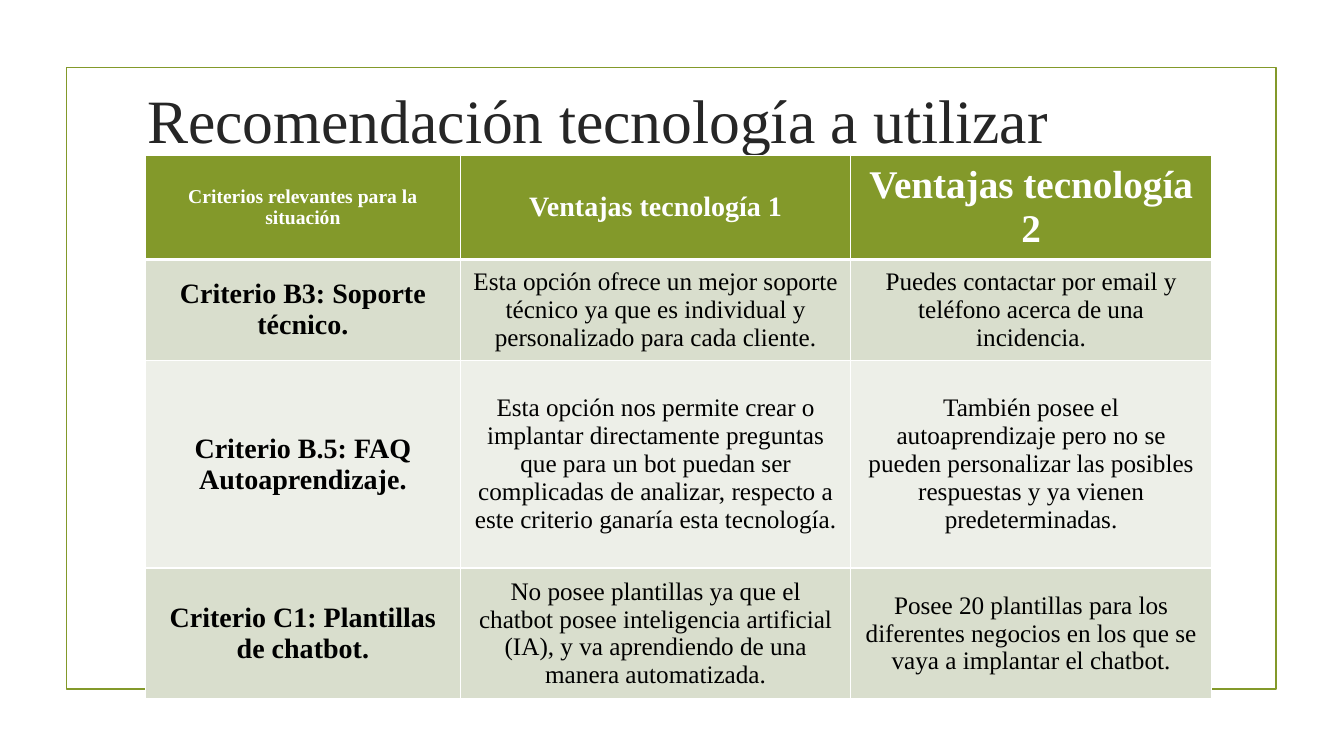
"""Build the slide that compares the advantages of two chatbot technologies."""
from lxml.etree import SubElement
from pptx import Presentation
from pptx.dml.color import RGBColor
from pptx.enum.shapes import MSO_SHAPE
from pptx.enum.text import MSO_ANCHOR as Anchor, PP_ALIGN as Align
from pptx.oxml.ns import qn
from pptx.util import Pt

GREEN, WHITE, BLACK = "83992A", "FFFFFF", "000000"
BAND_FILLS = [GREEN, "D9DECD", "EDEFE8", "D9DECD"]
HEADER_SIZES = [14, 20, 28]
BODY_SIZES = [20, 18, 18]
COLUMN_WIDTHS = [225.4, 278.6, 257.8]
ROW_HEIGHTS = [72.7, 69.8, 148.3, 90]
ROWS = [
    ["Criterios relevantes para la situación",
     "Ventajas tecnología 1",
     "Ventajas tecnología 2"],
    ["Criterio B3: Soporte técnico.",
     "Esta opción ofrece un mejor soporte técnico ya que es individual y personalizado para cada cliente.",
     "Puedes contactar por email y teléfono acerca de una incidencia."],
    ["Criterio B.5: FAQ Autoaprendizaje.",
     "Esta opción nos permite crear o implantar directamente preguntas que para un bot puedan ser "
     "complicadas de analizar, respecto a este criterio ganaría esta tecnología.",
     "También posee el autoaprendizaje pero no se pueden personalizar las posibles respuestas "
     "y ya vienen predeterminadas."],
    ["Criterio C1: Plantillas de chatbot.",
     "No posee plantillas ya que el chatbot posee inteligencia artificial (IA), y va aprendiendo "
     "de una manera automatizada.",
     "Posee 20 plantillas para los diferentes negocios en los que se vaya a implantar el chatbot."],
]


def color(value):
    return RGBColor.from_string(value)


def format_runs(paragraph, size, value, bold=False):
    for run in paragraph.runs:
        run.font.name = "Times New Roman"
        run.font.size = Pt(size)
        run.font.bold = bold
        run.font.color.rgb = color(value)


presentation = Presentation()
presentation.slide_width, presentation.slide_height = Pt(960), Pt(540)
slide = presentation.slides.add_slide(presentation.slide_layouts[6])

frame = slide.shapes.add_shape(MSO_SHAPE.RECTANGLE, Pt(47.5), Pt(48.2), Pt(864), Pt(444.2))
frame.shadow.inherit = False
frame.fill.background()
frame.line.color.rgb = color(GREEN)
frame.line.width = Pt(1.25)

title = slide.shapes.add_textbox(Pt(98), Pt(33.1), Pt(756), Pt(103))
title.text_frame.word_wrap = True
title.text_frame.vertical_anchor = Anchor.MIDDLE
title.text_frame.text = "Recomendación tecnología a utilizar"
format_runs(title.text_frame.paragraphs[0], 44, "262626")

table = slide.shapes.add_table(
    len(ROWS), len(COLUMN_WIDTHS), Pt(103.7), Pt(110.9),
    Pt(sum(COLUMN_WIDTHS)), Pt(sum(ROW_HEIGHTS))).table
for column, width in zip(table.columns, COLUMN_WIDTHS):
    column.width = Pt(width)
for row, height in zip(table.rows, ROW_HEIGHTS):
    row.height = Pt(height)

for row_index, texts in enumerate(ROWS):
    is_header = row_index == 0
    sizes = HEADER_SIZES if is_header else BODY_SIZES
    border_widths = {"a:lnL": 1, "a:lnR": 1,
                     "a:lnT": 3 if row_index == 1 else 1,
                     "a:lnB": 3 if is_header else 1}
    for column_index, text in enumerate(texts):
        cell = table.cell(row_index, column_index)
        cell.text_frame.text = text
        cell.vertical_anchor = Anchor.MIDDLE
        paragraph = cell.text_frame.paragraphs[0]
        paragraph.alignment = Align.CENTER
        format_runs(paragraph, sizes[column_index], WHITE if is_header else BLACK,
                    is_header or column_index == 0)
        properties = cell._tc.get_or_add_tcPr()
        for side, width in border_widths.items():
            border = SubElement(properties, qn(side), w=str(Pt(width)))
            border_fill = SubElement(border, qn("a:solidFill"))
            SubElement(border_fill, qn("a:srgbClr"), val=WHITE)
        cell.fill.solid()
        cell.fill.fore_color.rgb = color(BAND_FILLS[row_index])

presentation.save("out.pptx")
